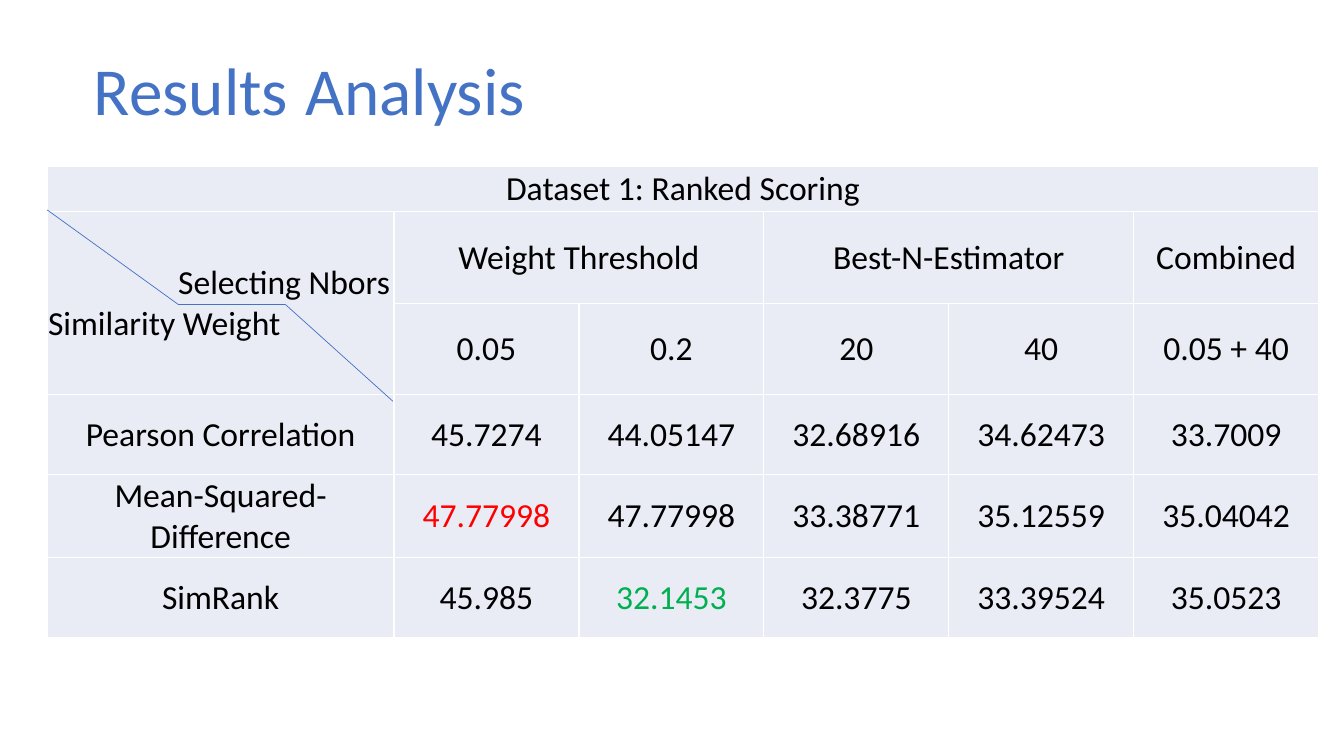
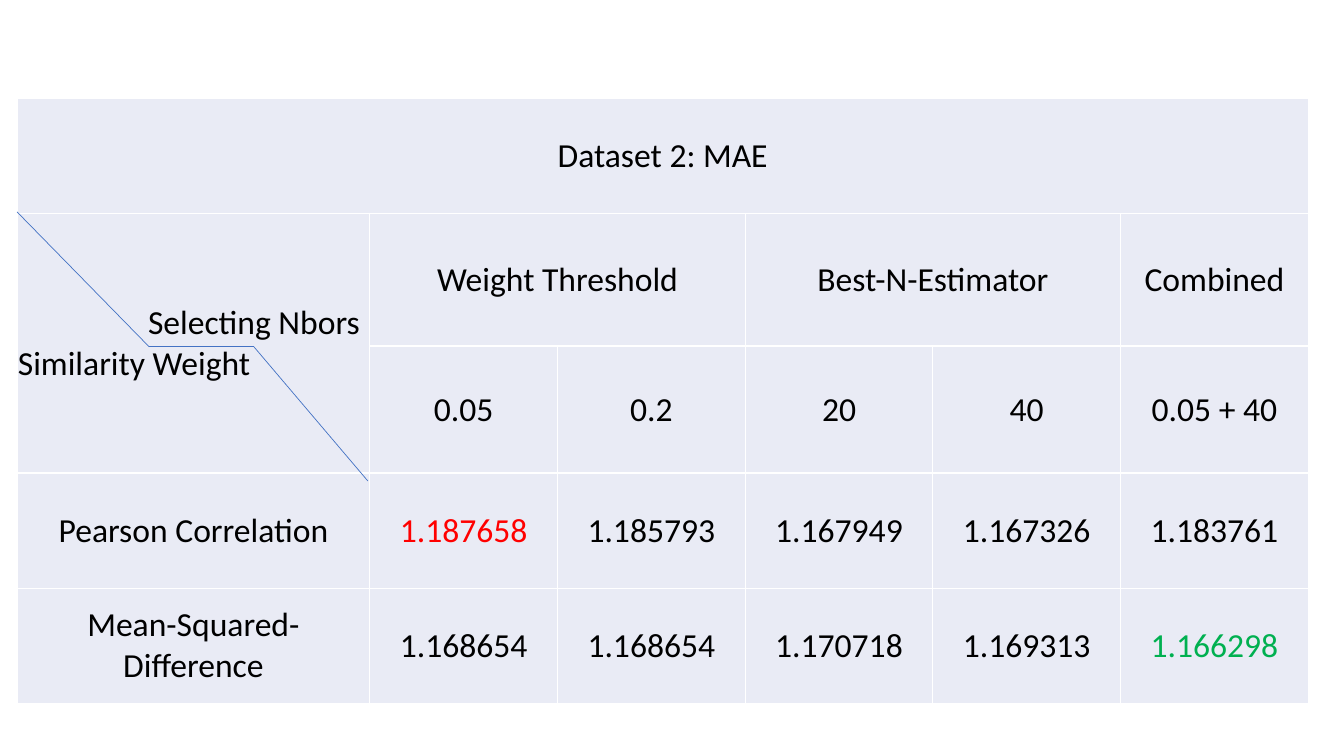
from itertools import pairwise

from lxml import etree
from pptx import Presentation
from pptx import util as u
from pptx.dml import color
from pptx.enum import shapes, text
from pptx.oxml import ns

FONT = "Calibri"
BLUE = "4472C4"
PALE = "E9EBF5"
WHITE = "FFFFFF"
BLACK = "000000"
RED = "FF0000"
GREEN = "00B050"

CORNER = "Selecting Nbors\nSimilarity Weight"
CORNER_INDENT = 3.28
HEADINGS = [
    [CORNER, "Weight Threshold", "", "Best-N-Estimator", "", "Combined"],
    ["", "0.05", "0.2", "20", "40", "0.05 + 40"],
]
MERGES = [((0, 0), (0, 5)), ((1, 0), (2, 0)), ((1, 1), (1, 2)), ((1, 3), (1, 4))]

RANKED_SCORES = [
    ["Pearson Correlation", "45.7274", "44.05147", "32.68916", "34.62473", "33.7009"],
    ["Mean-Squared-Difference", "47.77998", "47.77998", "33.38771", "35.12559", "35.04042"],
    ["SimRank", "45.985", "32.1453", "32.3775", "33.39524", "35.0523"],
]
MAE_SCORES = [
    ["Pearson Correlation", "1.187658", "1.185793", "1.167949", "1.167326", "1.183761"],
    ["Mean-Squared-Difference", "1.168654", "1.168654", "1.170718", "1.169313", "1.166298"],
]


def rgb(value):
    return color.RGBColor.from_string(value)


def format_span(span, size, colour, bold=False):
    span.font.name = FONT
    span.font.size = u.Pt(size)
    span.font.bold = bold
    span.font.color.rgb = rgb(colour)


def add_borders(cell):
    properties = cell._tc.get_or_add_tcPr()
    for side in ("lnL", "lnR", "lnT", "lnB"):
        line = etree.SubElement(properties, ns.qn(f"a:{side}"), w=str(u.Pt(1)))
        fill = etree.SubElement(line, ns.qn("a:solidFill"))
        etree.SubElement(fill, ns.qn("a:srgbClr"), val=WHITE)


def format_cell(cell, content, colour):
    add_borders(cell)
    cell.fill.solid()
    cell.fill.fore_color.rgb = rgb(PALE)
    cell.margin_left = cell.margin_right = cell.margin_top = u.Cm(0.02)
    cell.margin_bottom = 0
    cell.vertical_anchor = text.MSO_ANCHOR.MIDDLE
    cell.text_frame.text = content
    for para in cell.text_frame.paragraphs:
        para.alignment = text.PP_ALIGN.CENTER
        para.font.size = u.Pt(24)
        for span in para.runs:
            format_span(span, 24, colour)


def align_corner(cell):
    upper, lower = cell.text_frame.paragraphs
    upper.alignment = lower.alignment = text.PP_ALIGN.LEFT
    upper._p.get_or_add_pPr().set("marL", str(u.Cm(CORNER_INDENT)))


def add_results_table(page, box, columns, heights, caption, scores, highlights):
    left, top = box
    label_width, value_width = columns
    widths = [label_width] + [value_width] * 5
    rows = [[caption] + [""] * 5] + HEADINGS + scores
    frame = page.shapes.add_table(
        len(rows), len(widths), u.Cm(left), u.Cm(top), u.Cm(sum(widths)), u.Cm(sum(heights))
    )
    table = frame.table
    table.first_row = table.horz_banding = False
    for column, width in zip(table.columns, widths):
        column.width = u.Cm(width)
    for row, height in zip(table.rows, heights):
        row.height = u.Cm(height)
    for r, values in enumerate(rows):
        for c, value in enumerate(values):
            format_cell(table.cell(r, c), value, highlights.get((r, c), BLACK))
    align_corner(table.cell(1, 0))
    for first, last in MERGES:
        table.cell(*first).merge(table.cell(*last))


def add_corner_divider(page, box, points):
    left, top = box
    for (x1, y1), (x2, y2) in pairwise(points):
        line = page.shapes.add_connector(
            shapes.MSO_CONNECTOR.STRAIGHT,
            u.Cm(left + x1), u.Cm(top + y1), u.Cm(left + x2), u.Cm(top + y2),
        )
        line.line.color.rgb = rgb(BLUE)
        line.line.width = u.Pt(0.5)
        etree.SubElement(line._element.spPr, ns.qn("a:effectLst"))


def set_title(page, box):
    title = page.shapes.title
    title.left, title.top, title.width, title.height = map(u.Cm, box)
    frame = title.text_frame
    frame.word_wrap = False
    frame.auto_size = text.MSO_AUTO_SIZE.NONE
    frame.vertical_anchor = text.MSO_ANCHOR.TOP
    para = frame.paragraphs[0]
    para.alignment = text.PP_ALIGN.CENTER
    for content, size, colour, bold in (
        ("Results", 48, BLUE, False),
        (" ", 54, WHITE, True),
        ("Analysis", 48, BLUE, False),
    ):
        span = para.add_run()
        span.text = content
        format_span(span, size, colour, bold)


def build_ranked_scoring(page):
    box = (1.19, 4.19)
    set_title(page, (2.06, 0.89, 11.48, 2.57))
    add_results_table(
        page, box, (8.74, 4.66), [1.14, 2.31, 2.31, 2.01, 2.01, 2.01],
        "Dataset 1: Ranked Scoring", RANKED_SCORES, {(4, 1): RED, (5, 2): GREEN},
    )
    add_corner_divider(page, box, [(0, 1.1), (3.3, 3.48), (6, 3.48), (8.71, 5.92)])


def build_mae(page):
    box = (0.43, 2.49)
    add_results_table(
        page, box, (8.89, 4.73), [2.88, 3.35, 3.2, 2.9, 2.9],
        "Dataset 2: MAE", MAE_SCORES, {(3, 1): RED, (4, 5): GREEN},
    )
    add_corner_divider(page, box, [(0, 2.85), (3.33, 6.25), (5.97, 6.25), (8.84, 9.63)])


def main():
    deck = Presentation()
    deck.slide_width = u.Cm(33.87)
    deck.slide_height = u.Cm(19.05)
    title_only, blank = deck.slide_layouts[5], deck.slide_layouts[6]
    build_ranked_scoring(deck.slides.add_slide(title_only))
    build_mae(deck.slides.add_slide(blank))
    deck.save("out.pptx")


if __name__ == "__main__":
    main()
